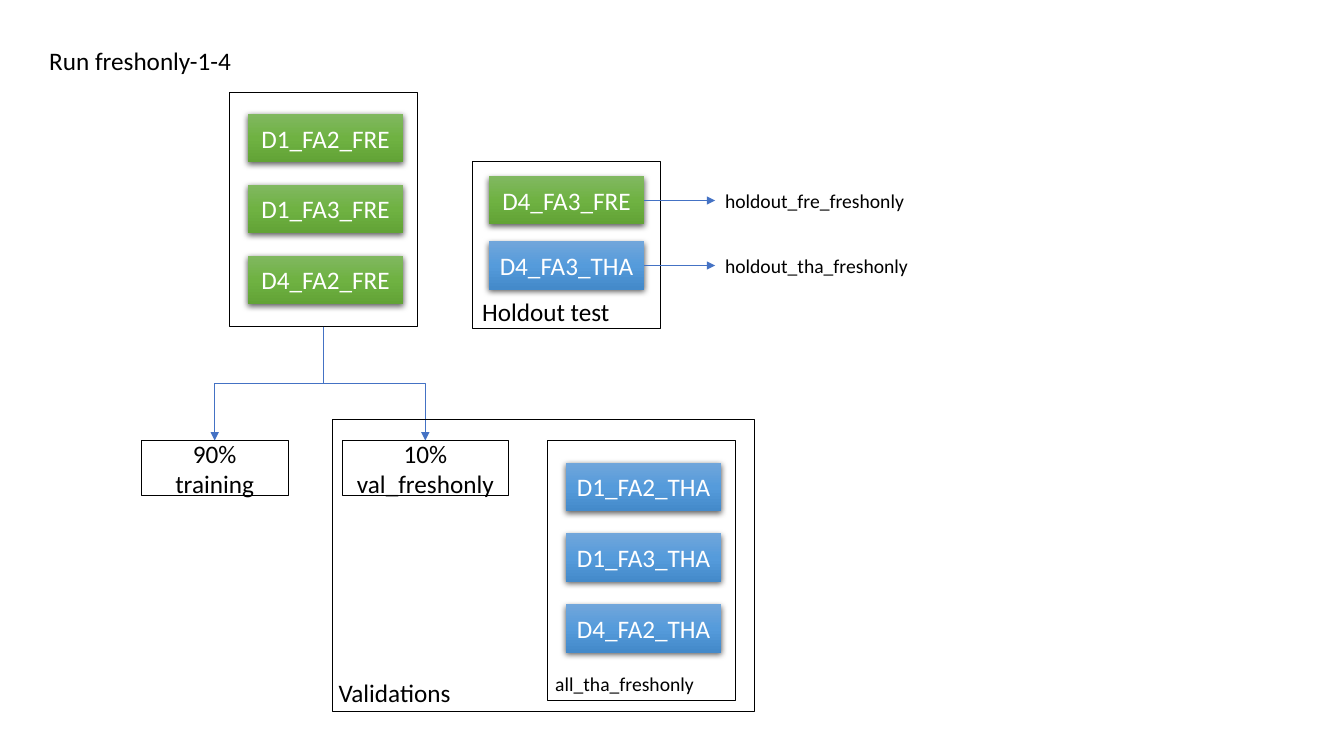
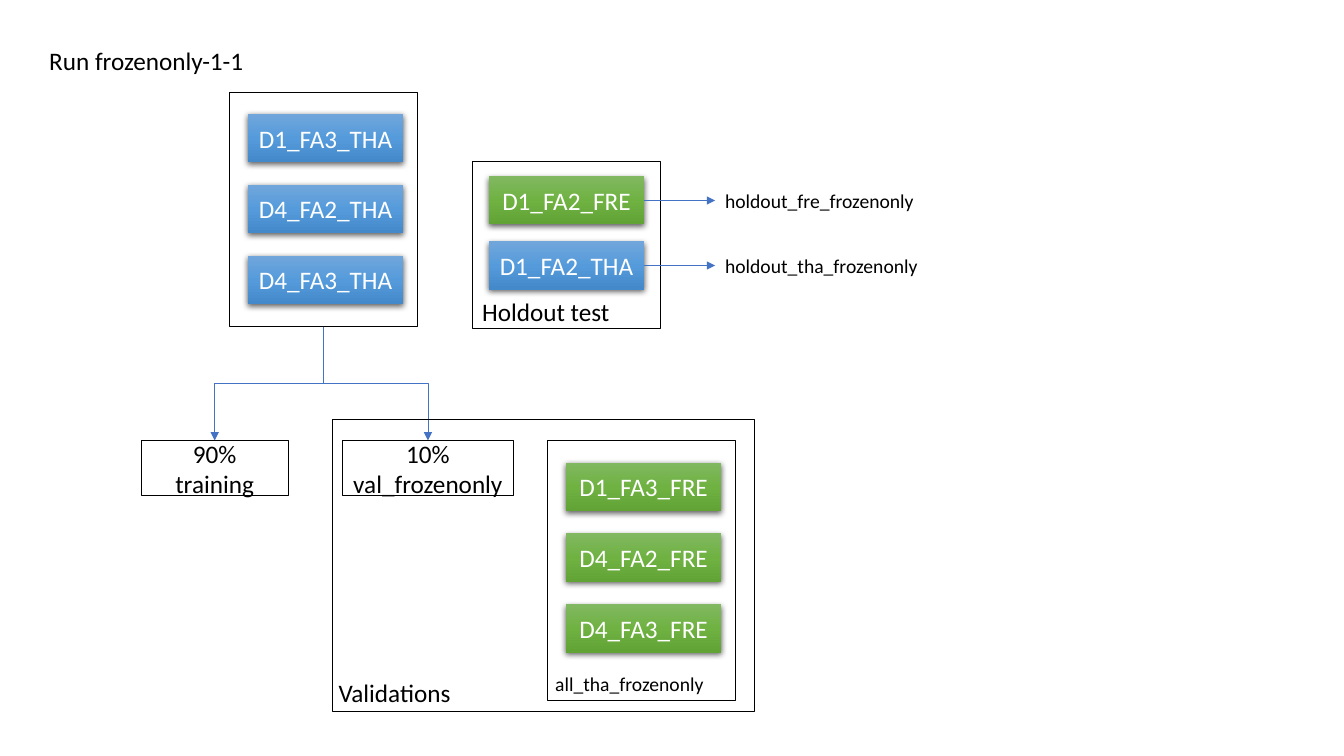
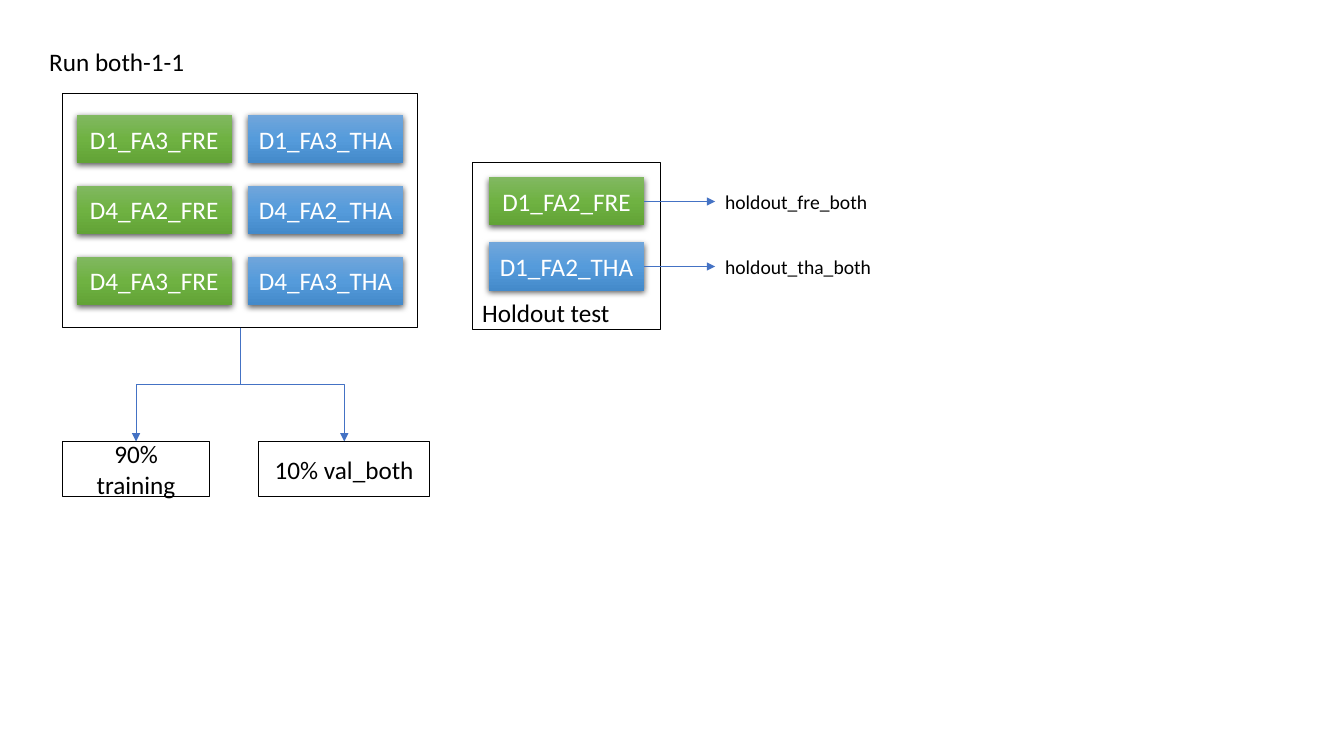
import copy

import pptx
import pptx.util
import pptx.dml.color
import pptx.enum.shapes
import pptx.enum.text
import pptx.oxml
import pptx.oxml.ns

# Grid cells are a tenth of an inch: 133.33 columns by 75 rows
COLS, ROWS = 133.33, 75
FONT, INK, PALE, ARROW = "Calibri", "000000", "FFFFFF", "4472C4"
SHADES = {
    "FRE": ("81B861", "6FB242", "62A336"),
    "THA": ("71A6DB", "559BDB", "448ACA"),
}
CHIP_W, CHIP_H, CHIP_GAP = 15.4, 4.78, 1.6
BIG, SMALL = 18, 14
SHADOW = (
    '<a:outerShdw %s blurRad="57150" dist="19050" dir="5400000" algn="ctr" '
    'rotWithShape="0"><a:srgbClr val="000000"><a:alpha val="63000"/>'
    "</a:srgbClr></a:outerShdw>" % pptx.oxml.ns.nsdecls("a")
)
ALIGN = pptx.enum.text.PP_ALIGN


def cell(*counts):
    return [pptx.util.Inches(n / 10) for n in counts]


def color(code):
    return pptx.dml.color.RGBColor.from_string(code)


def write(shape, words, size, ink, align):
    shape.text_frame.text = words
    para = shape.text_frame.paragraphs[0]
    para.alignment = align
    font = para.runs[0].font
    font.name, font.size = FONT, pptx.util.Pt(size)
    font.color.rgb = color(ink)


# Basic parts
def label(shape, words, x, y, size=BIG):
    wide = len(words) * size * 0.06 + 3.4
    shape.left, shape.top, shape.width, shape.height = cell(
        x, y, wide, 4 if size == BIG else 3.4)
    write(shape, words, size, INK, ALIGN.LEFT)
    frame = shape.text_frame
    frame.word_wrap = False
    frame.auto_size = pptx.enum.text.MSO_AUTO_SIZE.SHAPE_TO_FIT_TEXT
    frame.vertical_anchor = pptx.enum.text.MSO_ANCHOR.TOP


def note(slide, *args):
    label(slide.shapes.add_textbox(0, 0, 0, 0), *args)


def rect(slide, box):
    shape = slide.shapes.add_shape(
        pptx.enum.shapes.MSO_SHAPE.RECTANGLE, *cell(*box))
    shape.shadow.inherit = False
    return shape


def frame(slide, box, words=""):
    shape = rect(slide, box)
    shape.fill.background()
    shape.line.color.rgb = color(INK)
    shape.line.width = pptx.util.Pt(0.75)
    if words:
        write(shape, words, BIG, INK, ALIGN.CENTER)


def chip(slide, x, y, name):
    shape = rect(slide, (x, y, CHIP_W, CHIP_H))
    shape.line.fill.background()
    shape.fill.gradient()
    shape.fill.gradient_angle = 270
    props = shape._element.spPr
    stops = props.find(".//" + pptx.oxml.ns.qn("a:gsLst"))
    stops.insert(1, copy.deepcopy(stops[0]))
    shades = SHADES[name[-3:]]
    for i, stop in enumerate(shape.fill.gradient_stops):
        stop.position = i / 2
        stop.color.rgb = color(shades[i])
    effects = props.find(pptx.oxml.ns.qn("a:effectLst"))
    effects.append(pptx.oxml.parse_xml(SHADOW))
    write(shape, name, BIG, PALE, ALIGN.CENTER)


def arrow(slide, kind, *ends):
    link = slide.shapes.add_connector(kind, *cell(*ends))
    link.line.color.rgb = color(ARROW)
    link.line.width = pptx.util.Pt(0.5)
    tip = pptx.oxml.parse_xml(
        '<a:tailEnd %s type="triangle"/>' % pptx.oxml.ns.nsdecls("a"))
    link.line._get_or_add_ln().append(tip)
    props = link._element.spPr
    props.append(pptx.oxml.parse_xml(
        "<a:effectLst %s/>" % pptx.oxml.ns.nsdecls("a")))
    return props


def branch(slide, x, y, to_x, to_y):
    """Elbow that leaves downwards: a level elbow turned about its middle."""
    mid_x, mid_y = (x + to_x) / 2, (y + to_y) / 2
    half_w, half_h = (to_y - y) / 2, abs(to_x - x) / 2
    side = 1 if to_x > x else -1
    props = arrow(
        slide, pptx.enum.shapes.MSO_CONNECTOR.ELBOW,
        mid_x + side * half_w, mid_y - half_h,
        mid_x - side * half_w, mid_y + half_h)
    turn = 270 if side > 0 else 90
    props.find(pptx.oxml.ns.qn("a:xfrm")).set("rot", str(turn * 60000))


# Regions
def group(slide, box, names, pad=(1.4, 2.1), pitch=7.03, cols=1):
    """Framed chips, filled row by row against the right edge."""
    x, y, w, h = box
    left = x + w - pad[0] - cols * CHIP_W - (cols - 1) * CHIP_GAP
    for i, name in enumerate(names):
        row, col = divmod(i, cols)
        chip(slide, left + col * (CHIP_W + CHIP_GAP),
             y + pad[1] + row * pitch, name)
    frame(slide, box)


def holdout(slide, box, names, run):
    x, y, w, h = box
    pad, pitch = (1.6, 1.5), 6.45
    group(slide, box, names, pad, pitch)
    note(slide, "Holdout test", x, y + h - 3.6)
    start = x + w - pad[0]
    for i, kind in enumerate(("fre", "tha")):
        mid = y + pad[1] + i * pitch + CHIP_H / 2
        arrow(slide, pptx.enum.shapes.MSO_CONNECTOR.STRAIGHT,
              start, mid, start + 7.05, mid)
        note(slide, f"holdout_{kind}_{run}", start + 7.05, mid - 1.65, SMALL)


def split(slide, box, parts, run):
    """Branches from the bottom of the box to its two shares."""
    x, y, w, h = box
    texts = "90% training", "10% val_" + run
    for (left, wide), words in zip(parts, texts):
        top = y + h + 11.3
        branch(slide, x + w / 2, y + h, left + wide / 2, top)
        frame(slide, (left, top, wide, 5.46), words)


def checks(slide, box, names, run):
    x, y, w, h = box
    frame(slide, box)
    inner = (x + w - 20.6, y + 2.05, 18.7, 25.8)
    group(slide, inner, names, pad=(1.45, 2.2))
    note(slide, "all_tha_" + run, inner[0] - 0.2, y + h - 4.45, SMALL)
    note(slide, "Validations", x - 0.4, y + h - 3.9)


def page(deck, run, turn, top, box, names, cols, parts, held):
    slide = deck.slides.add_slide(deck.slide_layouts[5])
    label(slide.shapes.title, f"Run {run}-{turn}", 3.88, top - 5.2)
    group(slide, box, names, cols=cols)
    split(slide, box, parts, run)
    holdout(slide, (46.85, top + 6.8, 18.65, 16.55), held, run)
    return slide


deck = pptx.Presentation()
deck.slide_width, deck.slide_height = cell(COLS, ROWS)

# Single-state runs
RUNS = [
    ("freshonly", "1-4", "FRE", "THA", 16.5,
     ("D1_FA2", "D1_FA3", "D4_FA2"), "D4_FA3"),
    ("frozenonly", "1-1", "THA", "FRE", 17,
     ("D1_FA3", "D4_FA2", "D4_FA3"), "D1_FA2"),
]
for run, turn, own, other, wide, sets, held in RUNS:
    slide = page(
        deck, run, turn, 9.2, (22.75, 9.2, 18.65, 23.2),
        [f"{s}_{own}" for s in sets], 1, ((14, 14.6), (33.95, wide)),
        [f"{held}_{kind}" for kind in SHADES])
    checks(slide, (33, 41.65, 41.9, 28.95),
           [f"{s}_{other}" for s in sets], run)

# Combined run
page(deck, "both", "1-1", 9.3, (6.2, 9.3, 35.2, 23.2),
     [f"{s}_{kind}" for s in ("D1_FA3", "D4_FA2", "D4_FA3")
      for kind in SHADES],
     2, ((6.2, 14.6), (25.65, 17)), [f"D1_FA2_{kind}" for kind in SHADES])

deck.save("out.pptx")
